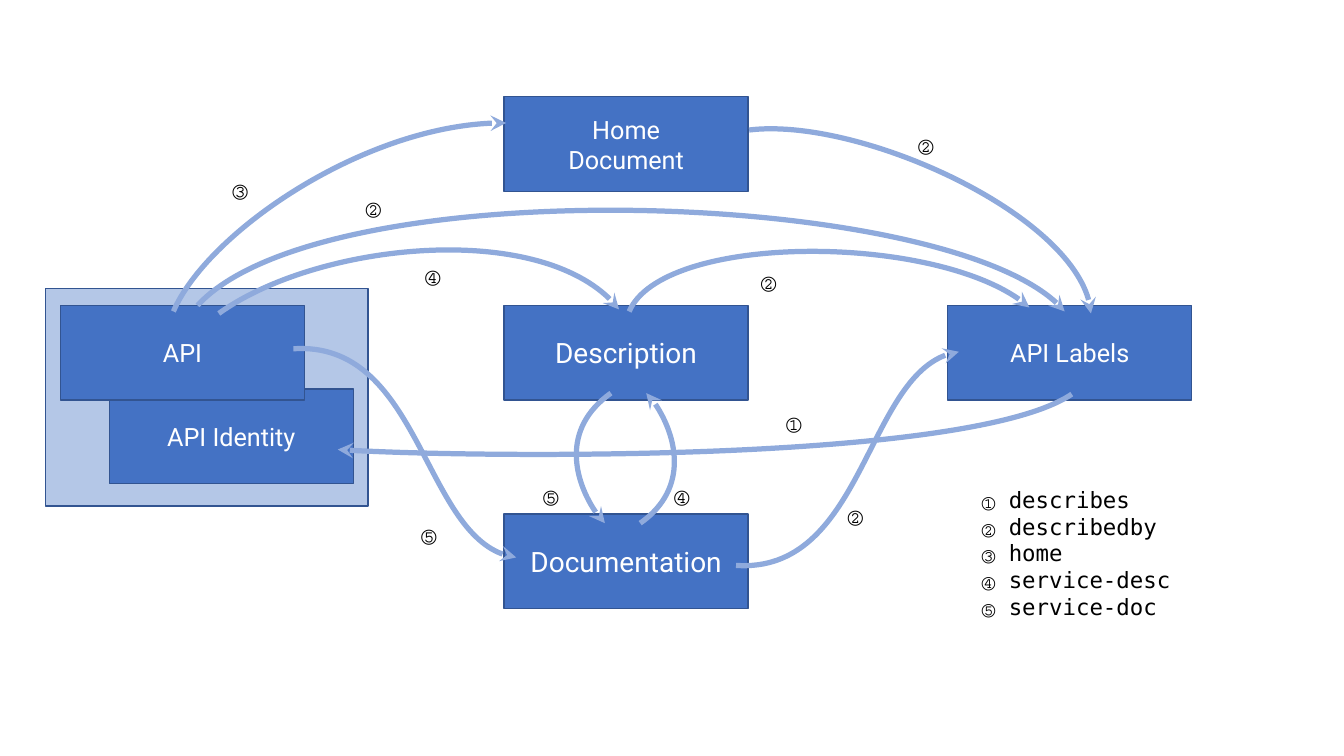
import pptx
import pptx.dml.color
import pptx.enum.shapes
import pptx.enum.text
import pptx.oxml
import pptx.oxml.ns
import pptx.util

COLORS = {"box": "4472C4", "group": "B4C7E7", "border": "325491",
          "arrow": "8FAADC", "label": "FFFFFF", "text": "000000"}
BOX_FONT, MONO_FONT = "Roboto", "DejaVu Sans Mono"

SLIDE_SIZE = (13.33, 7.5)
GRID_ORIGIN = (0.6, 0.96)
GRID_STEP = (4.4, 2.07)
BOX_SIZE = (2.42, 0.94)
GROUP = (0.45, 2.86, 3.2, 2.16)
MARK_SIZE = (0.51, 0.4)

BOXES = [
    (0.11, 1.4, 18, ["API Identity"]),
    (1, 0, 18, ["Home", "Document"]),
    (1, 1, 20, ["Description"]),
    (1, 2, 20, ["Documentation"]),
    (2, 1, 18, ["API Labels"]),
    (0, 1, 18, ["API"]),
]
LEGEND = (9.64, 4.77, 2.31, 1.48)
RELATIONS = ["① describes", "② describedby", "③ home", "④ service-desc", "⑤ service-doc"]

ARROWS = [
    ([(2.17, 3.11), (3.13, 2.42), (5.44, 2.17), (6.14, 3.07)], "④", (4.12, 2.51)),
    ([(6.24, 3.09), (6.57, 2.32), (9.38, 2.31), (10.21, 3.05)], "②", (7.45, 2.57)),
    ([(1.72, 3.09), (2.05, 2.32), (3.67, 1.2), (5.02, 1.22)], "③", (2.21, 1.66)),
    ([(7.43, 1.29), (8.49, 1.16), (10.76, 2.17), (10.82, 3.11)], "②", (9.01, 1.21)),
    ([(1.96, 3.03), (3.19, 1.69), (9.54, 1.87), (10.56, 3.09)], "②", (3.53, 1.84)),
    ([(2.91, 3.46), (4.14, 3.38), (4.2, 5.41), (5.12, 5.53)], "⑤", (4.08, 5.08)),
    ([(7.3, 5.61), (8.54, 5.69), (8.59, 3.62), (9.51, 3.49)], "②", (8.31, 4.89)),
    ([(6.06, 3.9), (5.55, 4.26), (5.74, 4.94), (6, 5.19)], "⑤", (5.29, 4.7)),
    ([(6.35, 5.19), (6.85, 4.84), (6.67, 4.15), (6.41, 3.9)], "④", (6.59, 4.7)),
    ([(10.63, 3.91), (9.63, 4.59), (4.49, 4.54), (3.35, 4.46)], "①", (7.7, 3.97)),
]
CURVE_STEPS = 40


def inches(values):
    return [pptx.util.Inches(value) for value in values]


def rgb(name):
    return pptx.dml.color.RGBColor.from_string(COLORS[name])


def write_lines(shape, lines, size, font, color, alignment):
    frame = shape.text_frame
    for index, line in enumerate(lines):
        paragraph = frame.paragraphs[0] if index == 0 else frame.add_paragraph()
        paragraph.alignment = alignment
        run = paragraph.add_run()
        run.text = line
        run.font.size = pptx.util.Pt(size)
        run.font.name = font
        run.font.color.rgb = rgb(color)


def add_rectangle(slide, bounds, fill):
    shape = slide.shapes.add_shape(pptx.enum.shapes.MSO_SHAPE.RECTANGLE, *inches(bounds))
    shape.shadow.inherit = False
    shape.fill.solid()
    shape.fill.fore_color.rgb = rgb(fill)
    shape.line.color.rgb = rgb("border")
    shape.line.width = pptx.util.Pt(1)
    return shape


def add_box(slide, column, row, size, lines):
    position = [start + step * cell for start, step, cell in zip(GRID_ORIGIN, GRID_STEP, (column, row))]
    shape = add_rectangle(slide, (*position, *BOX_SIZE), "box")
    shape.text_frame.vertical_anchor = pptx.enum.text.MSO_ANCHOR.MIDDLE
    write_lines(shape, lines, size, BOX_FONT, "label", pptx.enum.text.PP_ALIGN.CENTER)


def add_note(slide, bounds, lines, size):
    shape = slide.shapes.add_textbox(*inches(bounds))
    shape.text_frame.word_wrap = False
    shape.text_frame.auto_size = pptx.enum.text.MSO_AUTO_SIZE.SHAPE_TO_FIT_TEXT
    write_lines(shape, lines, size, MONO_FONT, "text", pptx.enum.text.PP_ALIGN.LEFT)


def curve_point(points, t):
    weights = ((1 - t) ** 3, 3 * t * (1 - t) ** 2, 3 * t ** 2 * (1 - t), t ** 3)
    return tuple(sum(weight * value for weight, value in zip(weights, axis)) for axis in zip(*points))


def add_arrow(slide, points):
    points = [inches(point) for point in points]
    samples = [curve_point(points, step / CURVE_STEPS) for step in range(CURVE_STEPS + 1)]
    builder = slide.shapes.build_freeform(*samples[0])
    builder.add_line_segments(samples[1:], close=False)
    shape = builder.convert_to_shape()
    shape.shadow.inherit = False
    shape.fill.background()
    shape.line.color.rgb = rgb("arrow")
    shape.line.width = pptx.util.Pt(3.75)

    qualified = pptx.oxml.ns.qn
    outline = next(shape.element.iter(qualified("a:path")))
    for segment in outline.findall(qualified("a:lnTo")):
        outline.remove(segment)
    controls = "".join(f'<a:pt x="{x - shape.left}" y="{y - shape.top}"/>' for x, y in points[1:])
    namespace = pptx.oxml.ns.nsdecls("a")
    outline.append(pptx.oxml.parse_xml(f"<a:cubicBezTo {namespace}>{controls}</a:cubicBezTo>"))
    line = shape.element.spPr.find(qualified("a:ln"))
    line.append(pptx.oxml.parse_xml(f'<a:tailEnd {namespace} type="stealth"/>'))


def main():
    presentation = pptx.Presentation()
    presentation.slide_width, presentation.slide_height = inches(SLIDE_SIZE)
    slide = presentation.slides.add_slide(presentation.slide_layouts.get_by_name("Blank"))
    add_rectangle(slide, GROUP, "group")
    for box in BOXES:
        add_box(slide, *box)
    add_note(slide, LEGEND, RELATIONS, 16)
    for points, mark, position in ARROWS:
        add_arrow(slide, points)
        add_note(slide, (*position, *MARK_SIZE), [mark], 18)
    presentation.save("out.pptx")


if __name__ == "__main__":
    main()
